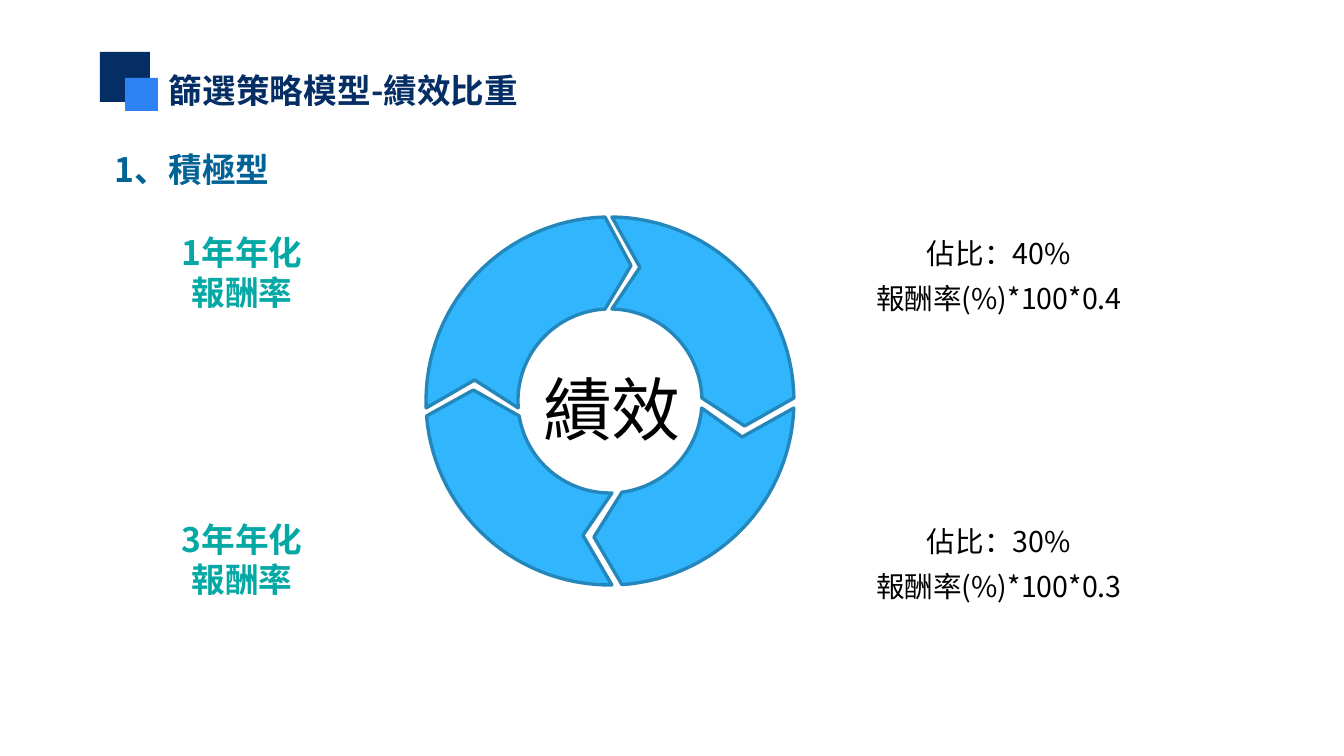
"""Build the slide on performance weights in the aggressive strategy model."""
from math import asin, cos, pi, sin

from pptx import Presentation
from pptx.dml.color import RGBColor
from pptx.enum.shapes import MSO_SHAPE as Shape
from pptx.enum.text import MSO_ANCHOR as Anchor, MSO_AUTO_SIZE as AutoSize, PP_ALIGN as Align
from pptx.oxml.ns import qn
from pptx.util import Emu, Pt

PX = 914400 / 121
FONT = "Noto Sans CJK SC"
BLACK = RGBColor(0x00, 0x00, 0x00)
NAVY = RGBColor(0x05, 0x2E, 0x65)
BLUE = RGBColor(0x2D, 0x83, 0xF4)
STEEL = RGBColor(0x01, 0x62, 0x96)
TEAL = RGBColor(0x04, 0xA8, 0xA4)
SKY = RGBColor(0x31, 0xB6, 0xFD)
EDGE = RGBColor(0x24, 0x87, 0xBB)

CENTER_X, CENTER_Y = 610, 401
OUTER, MIDDLE, INNER = 184, 137, 92
ARC_STEPS = 30

HEADING = {"size": 20, "color": NAVY, "bold": True}
SUBHEADING = HEADING | {"color": STEEL}
PERIOD = HEADING | {"color": TEAL, "align": Align.CENTER}
WEIGHT = {"size": 17, "align": Align.CENTER, "spacing": 1.3, "anchor": Anchor.MIDDLE,
          "grow": AutoSize.NONE}
HUB = {"size": 41, "align": Align.CENTER, "inset_x": 10, "inset_y": 5}


def px(length):
    """Turn pixels into EMU."""
    return Emu(round(length * PX))


def set_all(target, values):
    """Set each named attribute of the target."""
    for name, value in values.items():
        setattr(target, name, value)


def add_text(page, area, lines, style):
    """Add a text box with one paragraph for each line."""
    box = page.shapes.add_textbox(*map(px, area))
    inset_x, inset_y = px(style.get("inset_x", 12)), px(style.get("inset_y", 6))
    set_all(box.text_frame, {
        "word_wrap": True,
        "auto_size": style.get("grow", AutoSize.SHAPE_TO_FIT_TEXT),
        "vertical_anchor": style.get("anchor", Anchor.TOP),
        "margin_left": inset_x, "margin_right": inset_x,
        "margin_top": inset_y, "margin_bottom": inset_y,
    })
    for index, line in enumerate(lines):
        para = box.text_frame.add_paragraph() if index else box.text_frame.paragraphs[0]
        set_all(para, {"alignment": style.get("align", Align.LEFT),
                       "line_spacing": style.get("spacing", 1.0)})
        span = para.add_run()
        span.text = line
        set_all(span.font, {"name": FONT, "size": Pt(style["size"]),
                            "bold": style.get("bold", False)})
        span.font.color.rgb = style.get("color", BLACK)
        east_asian = span.font._element.makeelement(qn("a:ea"), {"typeface": FONT})
        span.font._element.append(east_asian)


def paint(shape, fill, line=None):
    """Give a shape a plain fill, an optional line and no shadow."""
    shape.shadow.inherit = False
    shape.fill.solid()
    shape.fill.fore_color.rgb = fill
    if line is None:
        shape.line.fill.background()
    else:
        shape.line.color.rgb = line
        shape.line.width = Pt(2)


def add_square(page, left, top, side, color):
    """Add a filled square."""
    paint(page.shapes.add_shape(Shape.RECTANGLE, *map(px, (left, top, side, side))), color)


def ring_point(radius, angle):
    """Give the point at a clockwise angle from the top of the ring."""
    return px(CENTER_X + radius * sin(angle)), px(CENTER_Y - radius * cos(angle))


def add_ring_arrow(page, quarter, start, notch, tip, end):
    """Add a quarter arrow whose offsets run clockwise from the ring's axes."""
    def angle(radius, offset, turn):
        return (quarter + turn) * pi / 2 + asin(offset / radius)

    def arc(radius):
        first, last = angle(radius, start, 0), angle(radius, end, 1)
        return [ring_point(radius, first + (last - first) * step / ARC_STEPS)
                for step in range(ARC_STEPS + 1)]

    outline = [*arc(OUTER), ring_point(MIDDLE, angle(MIDDLE, tip, 1)),
               *reversed(arc(INNER)), ring_point(MIDDLE, angle(MIDDLE, notch, 0))]
    builder = page.shapes.build_freeform(*outline[0])
    builder.add_line_segments(outline[1:], close=True)
    paint(builder.convert_to_shape(), SKY, EDGE)


def main():
    """Draw the heading, the ring and its labels, and save the deck."""
    deck = Presentation()
    set_all(deck, {"slide_width": px(1344), "slide_height": px(756)})
    page = deck.slides.add_slide(deck.slide_layouts[6])

    add_text(page, (157, 64, 387, 53), ["篩選策略模型-績效比重"], HEADING)
    add_square(page, 100, 52, 50, NAVY)
    add_square(page, 125, 78, 33, BLUE)
    add_text(page, (103, 143, 381, 53), ["1、積極型"], SUBHEADING)

    arrows = [(2, 30, 25, -3), (7, 36, 16, -12), (-2, 27, 11, -15), (-7, 21, 21, -5)]
    for quarter, offsets in enumerate(arrows):
        add_ring_arrow(page, quarter, *offsets)
    add_text(page, (525, 362, 174, 93), ["績效"], HUB)

    for years, share, factor, period_top, weight_top in (
            (1, "40%", "0.4", 226, 213), (3, "30%", "0.3", 513, 501)):
        add_text(page, (162, period_top, 160, 93), [f"{years}年年化", "報酬率"], PERIOD)
        add_text(page, (817, weight_top, 364, 115),
                 [f"佔比：{share}", f"報酬率(%)*100*{factor}"], WEIGHT)

    deck.save("out.pptx")


if __name__ == "__main__":
    main()
